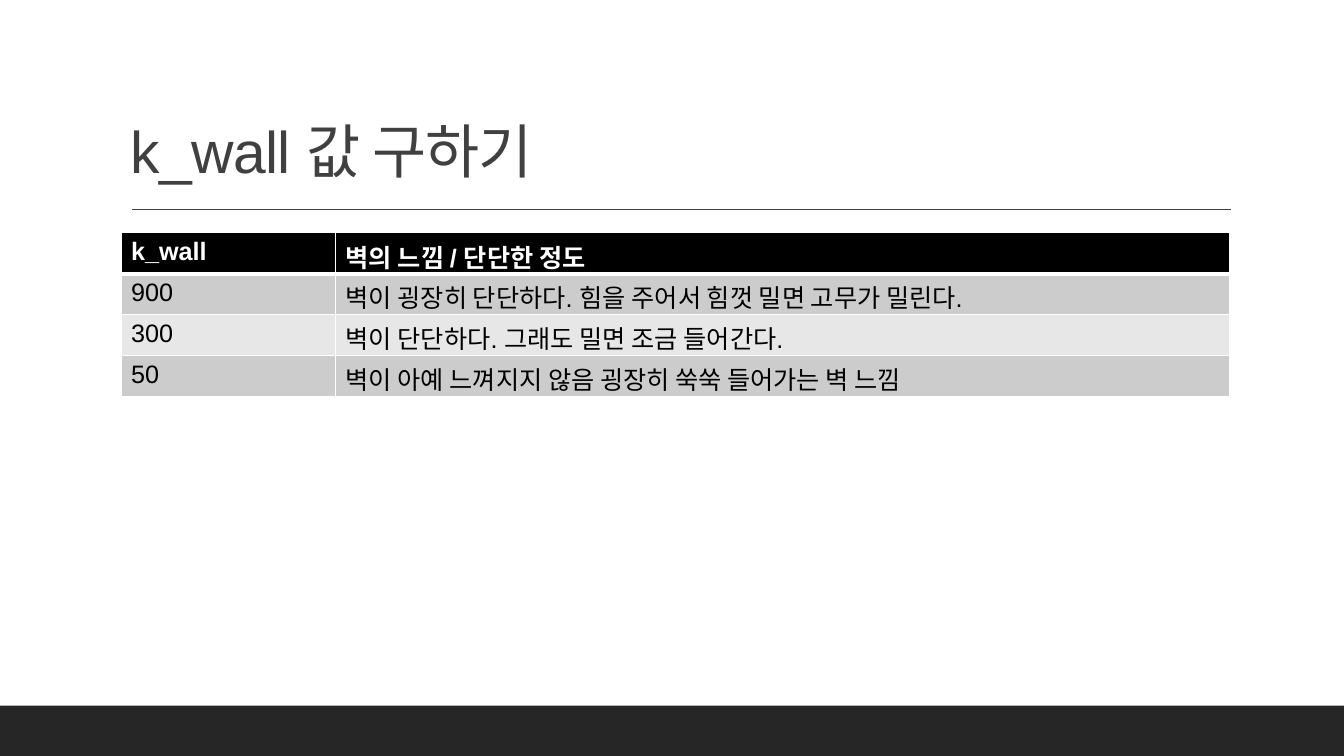
from dataclasses import dataclass

from lxml import etree
from pptx import Presentation
from pptx.dml.color import RGBColor
from pptx.enum import shapes, text
from pptx.oxml import ns
from pptx.util import Pt


@dataclass(frozen=True)
class Theme:
    font: str = "Arial"
    title_size: float = 42
    table_size: float = 18
    dark: str = "404040"
    footer: str = "262626"
    header: str = "000000"
    body_text: str = "000000"
    white: str = "FFFFFF"
    bands: tuple = ("CCCCCC", "E7E7E7")


THEME = Theme()
LEFT, CONTENT_WIDTH = 86.4, 792
COLUMN_WIDTHS = (153.4, 638.6)
ROW_HEIGHT = 29.2
WALL_ROWS = (
    ("k_wall", "벽의 느낌 / 단단한 정도"),
    ("900", "벽이 굉장히 단단하다. 힘을 주어서 힘껏 밀면 고무가 밀린다."),
    ("300", "벽이 단단하다. 그래도 밀면 조금 들어간다."),
    ("50", "벽이 아예 느껴지지 않음 굉장히 쑥쑥 들어가는 벽 느낌"),
)


def rgb(color):
    return RGBColor.from_string(color)


def add_run(paragraph, wording, size, color, bold=False):
    run = paragraph.add_run()
    run.text = wording
    run.font.name = THEME.font
    run.font.size = Pt(size)
    run.font.bold = bold
    run.font.color.rgb = rgb(color)
    return run


def add_footer_bar(slide):
    bar = slide.shapes.add_shape(
        shapes.MSO_SHAPE.RECTANGLE, Pt(0), Pt(504), Pt(960), Pt(36))
    bar.shadow.inherit = False
    bar.fill.solid()
    bar.fill.fore_color.rgb = rgb(THEME.footer)
    bar.line.fill.background()


def add_title_rule(slide):
    rule = slide.shapes.add_connector(
        shapes.MSO_CONNECTOR.STRAIGHT, Pt(94.4), Pt(149.6), Pt(879), Pt(149.6))
    rule.line.color.rgb = rgb(THEME.dark)
    rule.line.width = Pt(1)
    etree.SubElement(rule.element.spPr, ns.qn("a:effectLst"))


def add_title(slide, wording):
    title = slide.shapes.add_textbox(Pt(LEFT), Pt(22.6), Pt(CONTENT_WIDTH), Pt(114.2))
    frame = title.text_frame
    frame.word_wrap = True
    frame.vertical_anchor = text.MSO_ANCHOR.BOTTOM
    paragraph = frame.paragraphs[0]
    paragraph.line_spacing = 0.9
    run = add_run(paragraph, wording, THEME.title_size, THEME.dark)
    run.font._element.set("spc", "-50")


def set_borders(cell, widths):
    """Draw white borders; widths maps a side (L, R, T, B) to points."""
    properties = cell._tc.get_or_add_tcPr()
    for position, (side, width) in enumerate(widths.items()):
        border = etree.Element(ns.qn(f"a:ln{side}"), w=str(Pt(width)))
        fill = etree.SubElement(border, ns.qn("a:solidFill"))
        etree.SubElement(fill, ns.qn("a:srgbClr"), val=THEME.white)
        properties.insert(position, border)


def add_wall_table(slide, rows):
    table = slide.shapes.add_table(
        len(rows), len(COLUMN_WIDTHS), Pt(LEFT), Pt(166.3),
        Pt(CONTENT_WIDTH), Pt(ROW_HEIGHT * len(rows))).table
    for column, width in zip(table.columns, COLUMN_WIDTHS):
        column.width = Pt(width)
    for r, wordings in enumerate(rows):
        table.rows[r].height = Pt(ROW_HEIGHT)
        is_header = r == 0
        background = THEME.header if is_header else THEME.bands[(r - 1) % 2]
        color = THEME.white if is_header else THEME.body_text
        for c, wording in enumerate(wordings):
            cell = table.cell(r, c)
            cell.fill.solid()
            cell.fill.fore_color.rgb = rgb(background)
            set_borders(cell, {"L": 1, "R": 1, "T": 3 if r == 1 else 1,
                               "B": 3 if is_header else 1})
            add_run(cell.text_frame.paragraphs[0], wording,
                    THEME.table_size, color, is_header)


def main():
    deck = Presentation()
    deck.slide_width, deck.slide_height = Pt(960), Pt(540)
    slide = deck.slides.add_slide(deck.slide_layouts[6])
    add_footer_bar(slide)
    add_title_rule(slide)
    add_title(slide, "k_wall 값 구하기")
    add_wall_table(slide, WALL_ROWS)
    deck.save("out.pptx")


if __name__ == "__main__":
    main()
